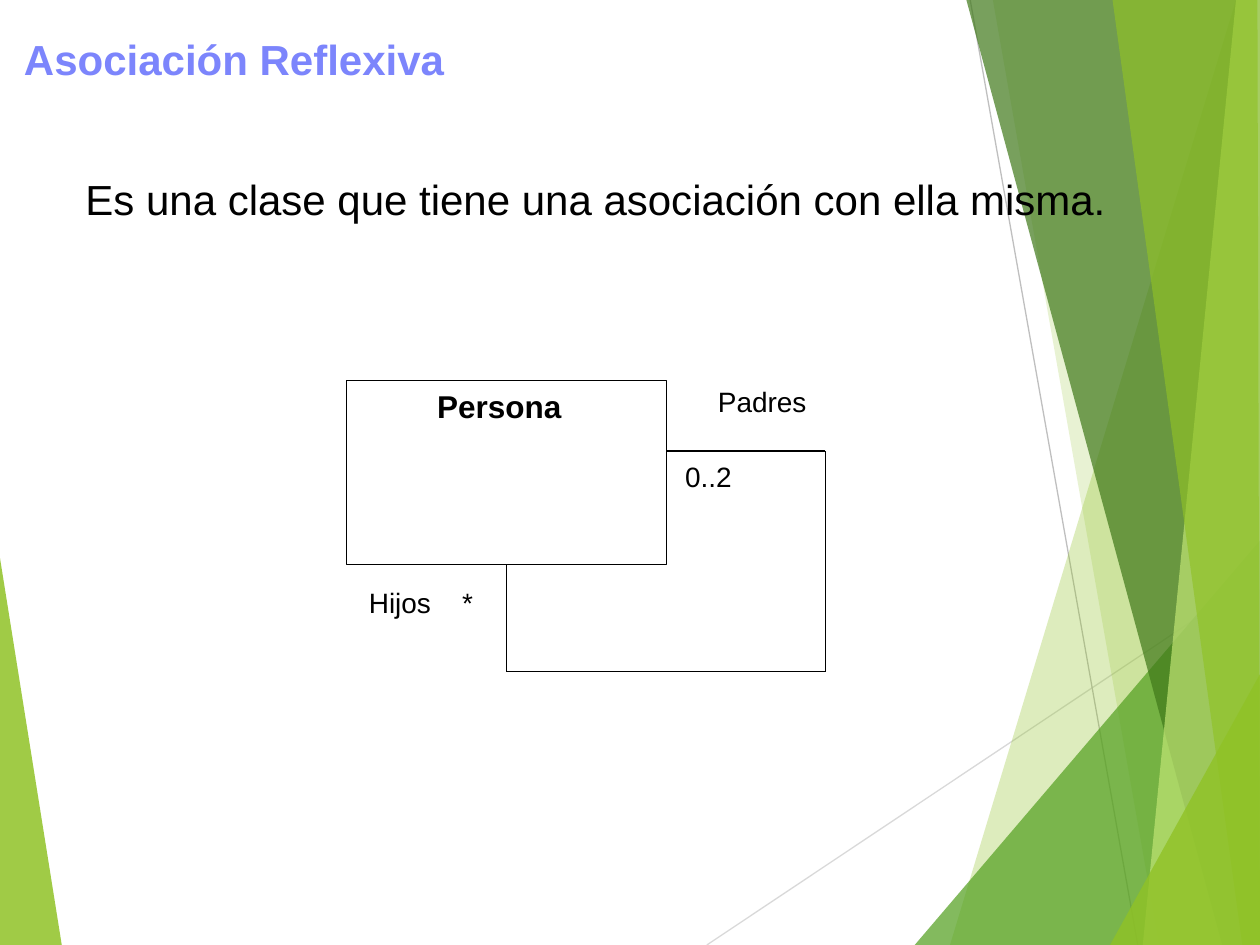
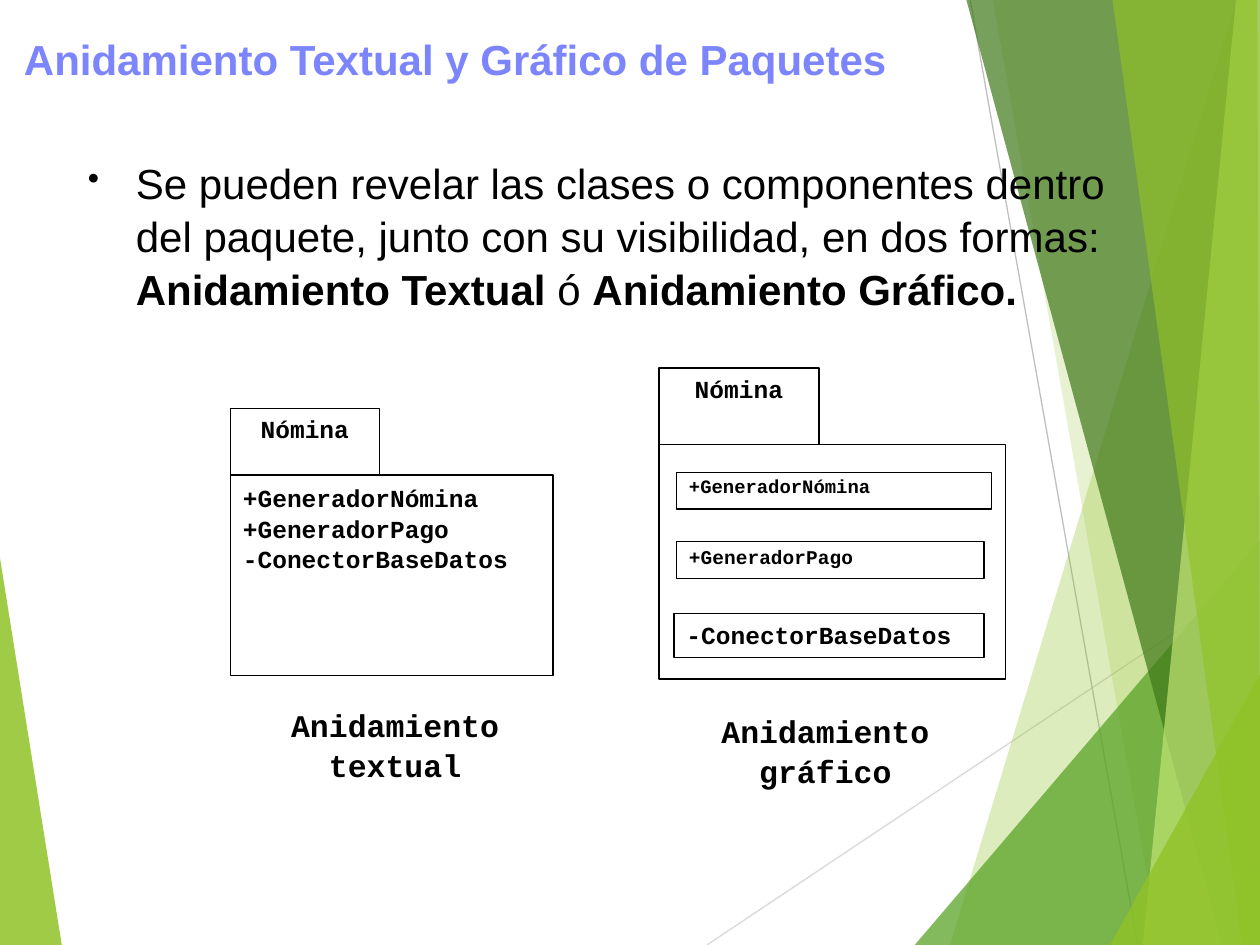
from lxml.etree import SubElement
from pptx import Presentation
from pptx.dml.color import RGBColor
from pptx.enum.shapes import MSO_CONNECTOR, MSO_SHAPE
from pptx.enum.text import MSO_ANCHOR, MSO_AUTO_SIZE, PP_ALIGN
from pptx.oxml.ns import qn
from pptx.util import Inches, Pt

BLACK, WHITE, TITLE_COLOR = "000000", "FFFFFF", "7C85FC"
LIME, GREEN, DARK_GREEN, PALE_LIME = "90C226", "54A021", "3F7819", "C0E474"
SANS, MONO = "Arial", "Courier New"
WIDTH, HEIGHT = 10, 7.5

RAYS = [
    ((5.61, HEIGHT), (WIDTH, 4.57), "D9D9D9"),
    ((7.7, 0), (9.03, HEIGHT), "BFBFBF"),
]
LEFT_BAND = ([(0, 4.43), (0.49, HEIGHT), (0, HEIGHT)], LIME, 85)
RIGHT_BANDS = [
    ([(9.81, 0), (7.54, HEIGHT), (WIDTH, HEIGHT), (WIDTH, 0)], LIME, 30),
    ([(7.88, 0), (9.2, HEIGHT), (WIDTH, HEIGHT), (WIDTH, 0)], LIME, 20),
    ([(7.26, HEIGHT), (WIDTH, 4.29), (WIDTH, HEIGHT)], GREEN, 72),
    ([(7.67, 0), (9.7, HEIGHT), (WIDTH, HEIGHT), (WIDTH, 0)], DARK_GREEN, 70),
    ([(9.81, 0), (9.07, HEIGHT), (WIDTH, HEIGHT), (WIDTH, 0)], PALE_LIME, 70),
    ([(8.83, 0), (9.86, HEIGHT), (WIDTH, HEIGHT), (9.98, 0)], LIME, 65),
    ([(8.81, HEIGHT), (WIDTH, 5.35), (WIDTH, HEIGHT)], LIME, 80),
]

REFLEXIVE_TITLE = "Asociación Reflexiva"
REFLEXIVE_TEXT = "Es una clase que tiene una asociación con ella misma."
PERSONA = (2.75, 3.02, 2.54, 1.46)
ROLES = [
    ("Hijos\t*", (2.83, 4.6, 2.14, 0.58)),
    ("0..2", (5.34, 3.6, 1.16, 0.54)),
    ("Padres", (5.6, 3, 1.9, 0.56)),
]
LOOP = [(5.29, 3.58), (6.55, 3.58), (6.55, 5.33), (4.02, 5.33), (4.02, 4.48)]

NESTING_TITLE = "Anidamiento Textual y Gráfico de Paquetes"
NESTING_TEXT = [
    ("Se pueden revelar las clases o componentes dentro del paquete, "
     "junto con su visibilidad, en dos formas: ", False),
    ("Anidamiento Textual", True),
    (" ó ", False),
    ("Anidamiento Gráfico.", True),
]
MEMBERS = ["+GeneradorNómina", "+GeneradorPago", "-ConectorBaseDatos"]
PACKAGES = [
    {"tab": (1.83, 3.24, 1.18, 0.53), "body": (1.83, 3.77, 2.56, 1.59),
     "members": MEMBERS, "nested": [],
     "caption": "Anidamiento textual", "caption_at": (1.99, 5.54, 2.29, 0.8)},
    {"tab": (5.23, 2.92, 1.27, 0.61), "body": (5.23, 3.53, 2.75, 1.86),
     "members": [],
     "nested": [((5.37, 3.75, 2.5, 0.29), 10.8, 0.8),
                ((5.37, 4.3, 2.44, 0.29), 11.1, 0.9),
                ((5.35, 4.87, 2.46, 0.35), 14, None)],
     "caption": "Anidamiento gráfico", "caption_at": (5.39, 5.59, 2.32, 0.74)},
]


def rgb(color):
    """Turn a hex string into a colour."""
    return RGBColor.from_string(color)


def place(part, at):
    """Move and size a part, in inches."""
    part.left, part.top, part.width, part.height = map(Inches, at)


def write(part, paragraphs, size, font=SANS, color=BLACK, align=PP_ALIGN.LEFT,
          spacing=None, anchor=MSO_ANCHOR.TOP):
    """Fill a part with paragraphs, each a list of (text, bold) runs."""
    frame = part.text_frame
    frame.word_wrap = True
    frame.auto_size = MSO_AUTO_SIZE.NONE
    frame.vertical_anchor = anchor
    for index, runs in enumerate(paragraphs):
        paragraph = frame.add_paragraph() if index else frame.paragraphs[0]
        paragraph.alignment = align
        if spacing:
            paragraph.line_spacing = spacing
        for text, bold in runs:
            run = paragraph.add_run()
            run.text = text
            run.font.name, run.font.size, run.font.bold = font, Pt(size), bold
            run.font.color.rgb = rgb(color)
    return frame


def add_box(slide, at, fill=None, outlined=True):
    """Add a plain rectangle."""
    box = slide.shapes.add_shape(MSO_SHAPE.RECTANGLE, *map(Inches, at))
    box.shadow.inherit = False
    if fill:
        box.fill.solid()
        box.fill.fore_color.rgb = rgb(fill)
    else:
        box.fill.background()
    if outlined:
        box.line.color.rgb = rgb(BLACK)
        box.line.width = Pt(0.75)
    else:
        box.line.fill.background()
    return box


def add_line(slide, start, end, color=BLACK):
    """Add a thin straight line."""
    line = slide.shapes.add_connector(
        MSO_CONNECTOR.STRAIGHT, *map(Inches, (*start, *end)))
    line.line.color.rgb = rgb(color)
    line.line.width = Pt(0.75)
    SubElement(line.element.spPr, qn("a:effectLst"))
    return line


def add_band(slide, corners, color, opacity):
    """Add a translucent polygon."""
    first, *others = [tuple(map(Inches, corner)) for corner in corners]
    builder = slide.shapes.build_freeform(*first)
    builder.add_line_segments(others)
    band = builder.convert_to_shape()
    band.shadow.inherit = False
    band.fill.solid()
    band.fill.fore_color.rgb = rgb(color)
    tint = band.element.spPr.find(f"{qn('a:solidFill')}/{qn('a:srgbClr')}")
    SubElement(tint, qn("a:alpha"), val=str(opacity * 1000))
    band.line.fill.background()


def decorate_layout(layout, slide):
    """Draw the bands and rays and hand them to the shared layout."""
    for placeholder in list(layout.placeholders)[1:]:
        placeholder.element.getparent().remove(placeholder.element)
    add_band(slide, *LEFT_BAND)
    for ray in RAYS:
        add_line(slide, *ray)
    for band in RIGHT_BANDS:
        add_band(slide, *band)
    for part in list(slide.shapes):
        if not part.is_placeholder:
            layout.element.cSld.spTree.append(part.element)


def set_title(slide, text):
    """Place and write the slide title."""
    title = slide.shapes.title
    place(title, (0.09, 0.09, 9.8, 0.63))
    write(title, [[(text, True)]], 24, color=TITLE_COLOR, spacing=0.9,
          anchor=MSO_ANCHOR.BOTTOM)


def build_reflexive(slide):
    """Show a class associated with itself."""
    set_title(slide, REFLEXIVE_TITLE)
    statement = slide.shapes.add_textbox(*map(Inches, (0.58, 1.33, 8.83, 0.75)))
    write(statement, [[(REFLEXIVE_TEXT, False)]], 24, align=PP_ALIGN.JUSTIFY)
    for role, at in ROLES:
        label = add_box(slide, at, WHITE, outlined=False)
        properties = label.text_frame.paragraphs[0]._p.get_or_add_pPr()
        if "\t" in role:
            stops = SubElement(properties, qn("a:tabLst"))
            SubElement(stops, qn("a:tab"), pos=str(Inches(0.74)), algn="l")
        write(label, [[(role, False)]], 16)
    persona = add_box(slide, PERSONA, WHITE)
    write(persona, [[("Persona", True)]], 18).margin_left = Inches(0.72)
    for start, end in zip(LOOP, LOOP[1:]):
        side = add_line(slide, start, end)
    side.end_connect(persona, 2)


def build_nesting(slide):
    """Show the textual and graphic nesting of packages."""
    set_title(slide, NESTING_TITLE)
    for package in PACKAGES:
        tab = add_box(slide, package["tab"])
        write(tab, [[("Nómina", True)]], 14, MONO, align=PP_ALIGN.CENTER)
        body = add_box(slide, package["body"])
        if package["members"]:
            lines = [[(member, True)] for member in package["members"]]
            write(body, lines, 14, MONO, spacing=1.05)
        for member, (at, size, spacing) in zip(MEMBERS, package["nested"]):
            component = add_box(slide, at)
            write(component, [[(member, True)]], size, MONO, spacing=spacing)
        caption = slide.shapes.add_textbox(*map(Inches, package["caption_at"]))
        write(caption, [[(package["caption"], True)]], 18, MONO,
              align=PP_ALIGN.CENTER, spacing=1.05)

    statement = slide.shapes.add_textbox(*map(Inches, (0.6, 1.18, 8.8, 5.38)))
    properties = statement.text_frame.paragraphs[0]._p.get_or_add_pPr()
    properties.set("marL", str(Inches(0.38)))
    properties.set("indent", str(-Inches(0.38)))
    bullet_color = SubElement(properties, qn("a:buClr"))
    SubElement(bullet_color, qn("a:srgbClr"), val=BLACK)
    SubElement(properties, qn("a:buSzPct"), val="80000")
    SubElement(properties, qn("a:buChar"), char="•")
    write(statement, [NESTING_TEXT], 24, spacing=1.05)


def main():
    """Build and save both slides."""
    prs = Presentation()
    prs.slide_width, prs.slide_height = Inches(WIDTH), Inches(HEIGHT)
    layout = prs.slide_layouts[5]
    reflexive = prs.slides.add_slide(layout)
    decorate_layout(layout, reflexive)
    build_reflexive(reflexive)
    build_nesting(prs.slides.add_slide(layout))
    prs.save("out.pptx")


if __name__ == "__main__":
    main()
